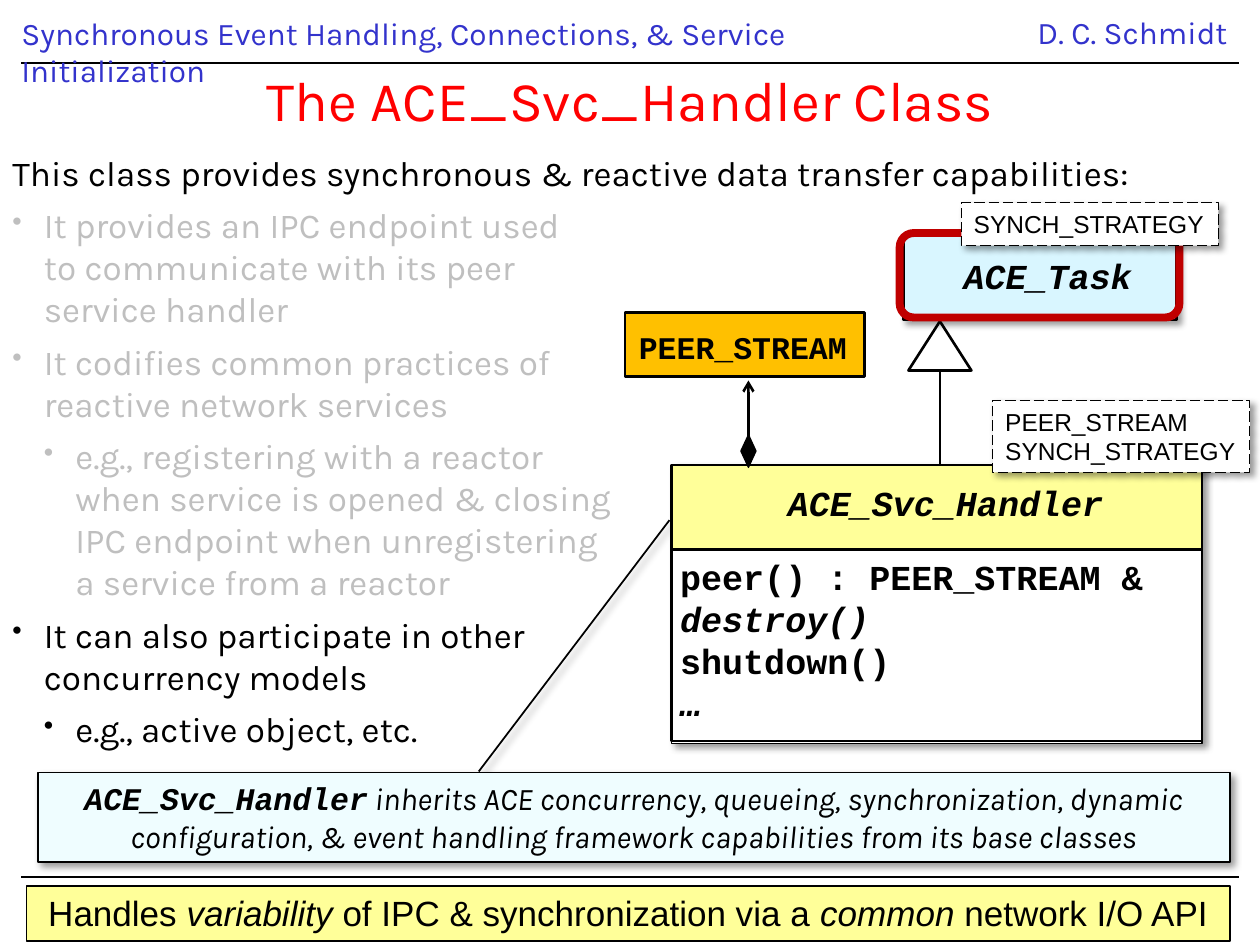
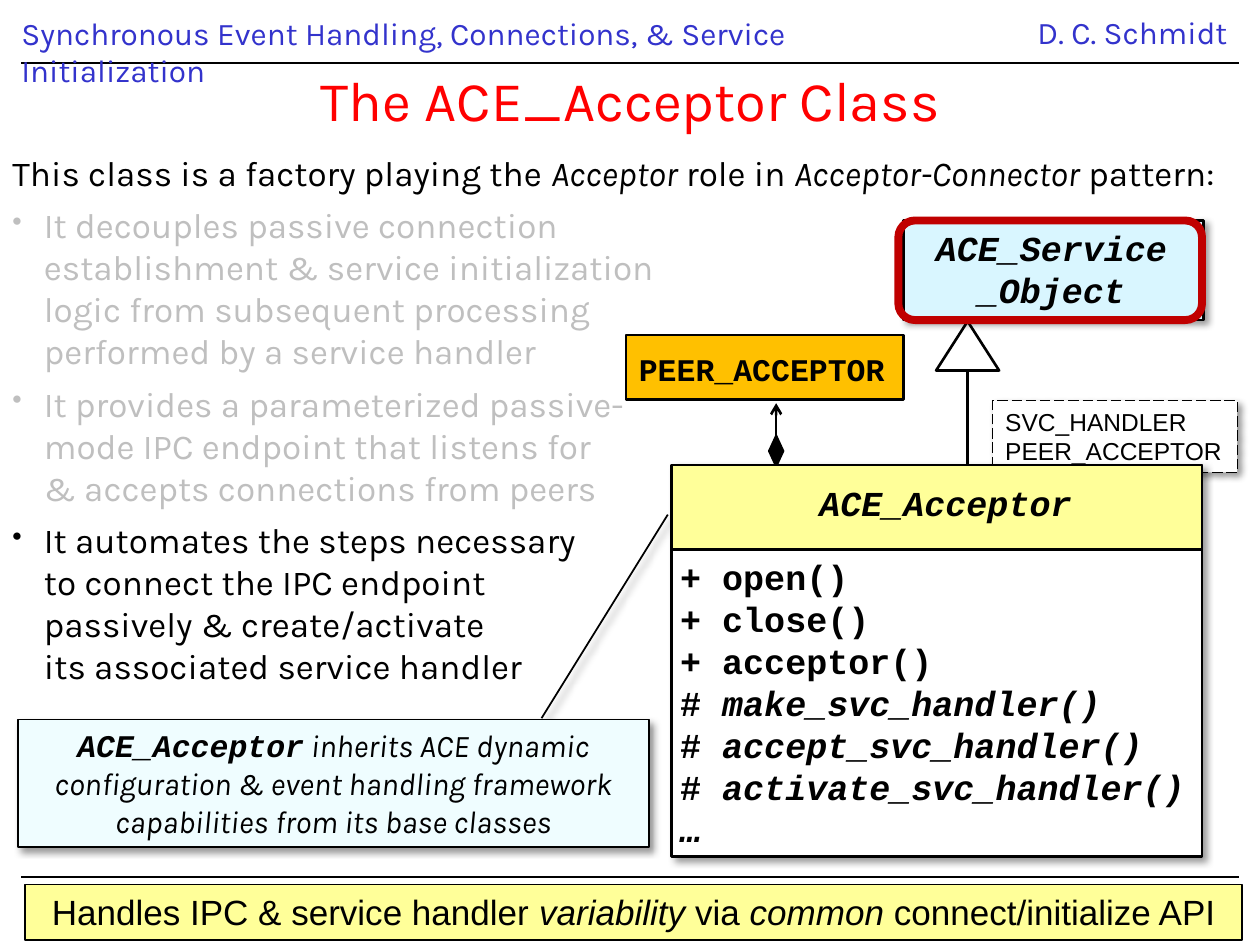
from lxml.etree import SubElement
from pptx import Presentation
from pptx.dml.color import RGBColor
from pptx.enum.dml import MSO_LINE
from pptx.enum.shapes import MSO_CONNECTOR, MSO_SHAPE as SHAPE
from pptx.enum.text import MSO_ANCHOR as ANCHOR, PP_ALIGN as ALIGN
from pptx.oxml.ns import qn
from pptx.util import Inches, Pt

BLACK, WHITE, BLUE, RED, GRAY = "000000", "FFFFFF", "3333CC", "FF0000", "BFBFBF"
YELLOW, ORANGE, SKY, ICE, DARK_RED = "FFFF99", "FFC000", "D9F6FF", "EFFDFF", "C00000"

HEADER = "Synchronous Event Handling, Connections, & Service Initialization"
AUTHOR = "D. C. Schmidt"
RULES = (0.5, 6.96)
CLASS_LEFT, CLASS_TOP, CLASS_WIDTH, NAME_HEIGHT = 5.33, 3.69, 4.21, 0.67

KARLA = {"name": "Karla", "size": Pt(20)}
HEADING = {"name": "Karla", "size": Pt(18)}
TITLE = {"name": "Karla", "size": Pt(32)}
ARIAL = {"name": "Arial", "size": Pt(20)}
TAG = {"name": "Arial", "size": Pt(14)}
CODE = {"name": "Courier New", "size": Pt(20), "bold": True}
SMALL_CODE = {**CODE, "size": Pt(18)}
NOTE = {"name": "Karla", "size": Pt(18), "italic": True}
NOTE_NAME = {**SMALL_CODE, "italic": True}

# Text between asterisks is italic; bullets are (level, colour, text).
SLIDES = [
    {
        "title": "The ACE_Svc_Handler Class",
        "intro": "This class provides synchronous & reactive data transfer capabilities:",
        "body": (0, 1.15, 10, 4.9),
        "bullets": [
            (1, GRAY, "It provides an IPC endpoint used\nto communicate with its peer\nservice handler"),
            (1, GRAY, "It codifies common practices of\nreactive network services"),
            (2, GRAY, "e.g., registering with a reactor\nwhen service is opened & closing\n"
                      "IPC endpoint when unregistering\na service from a reactor"),
            (1, BLACK, "It can also participate in other\nconcurrency models"),
            (2, BLACK, "e.g., active object, etc."),
        ],
        "class": "ACE_Svc_Handler",
        "methods": ["peer() : PEER_STREAM &", "*destroy()*", "shutdown()", "*…*"],
        "class_height": 2.21,
        "methods_height": 1.52,
        "base": ("ACE_Task", (7.17, 1.87, 2.17, 0.67), (7.14, 1.85, 2.22, 0.67), (7.49, 1.97, 1.65, 0.51)),
        "triangle_left": 7.21,
        "peer": ("PEER_STREAM", 4.96, 2.48, 1.9),
        "link_x": 5.94,
        "tags": [
            (["PEER_STREAM", "SYNCH_STRATEGY"], (7.88, 3.18, 2.04, 0.57)),
            (["SYNCH_STRATEGY"], (7.63, 1.61, 2.04, 0.34)),
        ],
        "tags_behind": False,
        "note": " inherits ACE concurrency, queueing, synchronization, dynamic configuration, "
                "& event handling framework capabilities from its base classes",
        "note_place": (0.3, 6.13, 9.46, 0.71),
        "note_pointer": (-0.01, 0.37, -2.82, 0.53),
        "summary": "Handles *variability* of IPC & synchronization via a *common* network I/O API",
        "summary_place": (0.21, 7.03, 9.55, 0.44),
    },
    {
        "title": "The ACE_Acceptor Class",
        "intro": "This class is a factory playing the *Acceptor* role in *Acceptor-Connector* pattern:",
        "body": (0, 1.15, 10.42, 4.44),
        "bullets": [
            (1, GRAY, "It decouples passive connection\nestablishment & service initialization\n"
                      "logic from subsequent processing\nperformed by a service handler"),
            (1, GRAY, "It provides a parameterized passive-\nmode IPC endpoint that listens for\n"
                      "& accepts connections from peers"),
            (1, BLACK, "It automates the steps necessary\nto connect the IPC endpoint\n"
                       "passively & create/activate\nits associated service handler"),
        ],
        "class": "ACE_Acceptor",
        "methods": ["+ open()", "+ close()", "+ acceptor()", "# *make_svc_handler()*",
                    "# *accept_svc_handler()*", "# *activate_svc_handler()*", "*…*"],
        "class_height": 3.11,
        "methods_height": 2.44,
        "base": ("ACE_Service_Object", (7.17, 1.75, 2.38, 0.79), (7.13, 1.75, 2.41, 0.79),
                 (7.32, 1.75, 2.05, 0.51)),
        "triangle_left": 7.43,
        "peer": ("PEER_ACCEPTOR", 4.97, 2.66, 2.2),
        "link_x": 6.16,
        "tags": [(["SVC_HANDLER", "PEER_ACCEPTOR"], (7.88, 3.18, 1.94, 0.57))],
        "tags_behind": True,
        "note": " inherits ACE dynamic configuration & event handling framework "
                "capabilities from its base classes",
        "note_place": (0.14, 5.71, 5.01, 1.01),
        "note_pointer": (-0.01, 0.83, -1.61, 1.03),
        "summary": "Handles IPC & service handler *variability* via *common* connect/initialize API",
        "summary_place": (0.2, 7.02, 9.66, 0.44),
    },
]


def color(value):
    return RGBColor.from_string(value)


def add_span(para, text, font, ink):
    for number, line in enumerate(text.split("\n")):
        if number:
            para.add_line_break()
        span = para.add_run()
        span.text = line
        for key, value in font.items():
            setattr(span.font, key, value)
        span.font.color.rgb = color(ink)


def add_marked(para, text, font, ink=BLACK):
    for number, part in enumerate(text.split("*")):
        if part:
            add_span(para, part, {**font, "italic": True} if number % 2 else font, ink)


def write(box, lines, font, ink=BLACK, align=ALIGN.LEFT, anchor=ANCHOR.TOP, wrap=True):
    frame = box.text_frame
    frame.word_wrap = wrap
    frame.vertical_anchor = anchor
    for number, line in enumerate(lines):
        para = frame.add_paragraph() if number else frame.paragraphs[0]
        para.alignment = align
        add_marked(para, line, font, ink)
    return frame


def add_text(page, place, lines, font, **options):
    box = page.shapes.add_textbox(*map(Inches, place))
    return write(box, lines, font, **options)


def add_box(page, place, fill=None, width=1.5, line=BLACK, kind=SHAPE.RECTANGLE, shadow=False):
    box = page.shapes.add_shape(kind, *map(Inches, place))
    if fill:
        box.fill.solid()
        box.fill.fore_color.rgb = color(fill)
    else:
        box.fill.background()
    box.line.color.rgb = color(line)
    box.line.width = Pt(width)
    box.shadow.inherit = False
    if shadow:
        effects = box._element.spPr.find(qn("a:effectLst"))
        outer = SubElement(effects, qn("a:outerShdw"), blurRad="50800", dist="38100",
                           dir="2700000", algn="tl", rotWithShape="0")
        ink = SubElement(outer, qn("a:srgbClr"), val=BLACK)
        SubElement(ink, qn("a:alpha"), val="40000")
    return box


def add_line(page, start, end, width=1.5, arrow=False):
    line = page.shapes.add_connector(MSO_CONNECTOR.STRAIGHT, *map(Inches, start + end))
    line.line.color.rgb = color(BLACK)
    line.line.width = Pt(width)
    if arrow:
        SubElement(line.line._get_or_add_ln(), qn("a:headEnd"), type="arrow")
    SubElement(line._element.spPr, qn("a:effectLst"))


def add_frame(page, title):
    for y in RULES:
        add_line(page, (0.17, y), (9.83, y), 0.75)
    author = add_text(page, (7.33, 0.09, 2.51, 0.37), [AUTHOR], HEADING, ink=BLUE, align=ALIGN.RIGHT)
    author.paragraphs[0].line_spacing = 0.9
    header = add_text(page, (0.17, 0.06, 7.29, 0.4), [HEADER], HEADING, ink=BLUE)
    header.margin_left = header.margin_right = 0
    add_text(page, (0.17, 0.58, 9.67, 0.42), [title], TITLE, ink=RED,
             align=ALIGN.CENTER, anchor=ANCHOR.MIDDLE)


def add_body(page, content):
    frame = add_text(page, content["body"], [content["intro"]], KARLA)
    for level, ink, text in content["bullets"]:
        para = frame.add_paragraph()
        props = para._p.get_or_add_pPr()
        props.set("marL", str(Inches(0.25 * level)))
        props.set("indent", str(Inches(-0.25)))
        para.space_before = Pt(6)
        SubElement(props, qn("a:buSzPct"), val="80000")
        SubElement(props, qn("a:buChar"), char="•")
        add_span(para, text, KARLA, ink)


def add_tags(page, content):
    for lines, place in content["tags"]:
        tag = add_box(page, place, WHITE, 0.75, shadow=True)
        tag.line.dash_style = MSO_LINE.LONG_DASH
        write(tag, lines, TAG, wrap=False)


def add_class(page, content):
    methods_top = CLASS_TOP + NAME_HEIGHT
    height = content["methods_height"]
    add_box(page, (CLASS_LEFT, CLASS_TOP, CLASS_WIDTH, content["class_height"]), WHITE, 0.75, shadow=True)
    add_box(page, (CLASS_LEFT, methods_top, CLASS_WIDTH, height), WHITE)
    add_text(page, (5.3, methods_top, 4.24, height), content["methods"], CODE)
    add_box(page, (CLASS_LEFT, CLASS_TOP, CLASS_WIDTH, NAME_HEIGHT), YELLOW)
    add_text(page, (5.9, 3.77, 3.21, 0.51), [f"*{content['class']}*"], CODE, align=ALIGN.CENTER)


def add_base(page, content):
    name, place, ring, label = content["base"]
    add_box(page, place, SKY, shadow=True)
    add_text(page, label, [f"*{name}*"], CODE, align=ALIGN.CENTER)
    left = content["triangle_left"]
    add_box(page, (left, 2.55, 0.5, 0.39), kind=SHAPE.ISOSCELES_TRIANGLE)
    add_line(page, (left + 0.25, 2.94), (left + 0.25, CLASS_TOP))
    add_box(page, ring, None, 4.5, DARK_RED, SHAPE.ROUNDED_RECTANGLE)


def add_peer(page, content):
    name, left, top, width = content["peer"]
    add_box(page, (left, top, width, 0.51), ORANGE)
    add_text(page, (4.94, top + 0.07, width + 0.01, 0.51), [name], SMALL_CODE, align=ALIGN.CENTER)
    x, start = content["link_x"], top + 0.54
    add_line(page, (x, start), (x, 3.67), arrow=True)
    diamond = add_box(page, (x - 0.13, 3.52, 0.26, 0.12), BLACK, 0.75, kind=SHAPE.FLOWCHART_DECISION)
    diamond.rotation = 90


def add_note(page, content):
    note = add_box(page, content["note_place"], ICE, 1, kind=SHAPE.LINE_CALLOUT_1, shadow=True)
    for index, value in enumerate(content["note_pointer"]):
        note.adjustments[index] = value
    frame = write(note, [""], NOTE, align=ALIGN.CENTER, anchor=ANCHOR.MIDDLE)
    add_span(frame.paragraphs[0], content["class"], NOTE_NAME, BLACK)
    add_span(frame.paragraphs[0], content["note"], NOTE, BLACK)


def add_summary(page, content):
    band = add_box(page, content["summary_place"], YELLOW, 1)
    write(band, [content["summary"]], ARIAL, align=ALIGN.CENTER)


def main():
    deck = Presentation()
    deck.slide_width, deck.slide_height = Inches(10), Inches(7.5)
    for content in SLIDES:
        page = deck.slides.add_slide(deck.slide_layouts[6])
        add_frame(page, content["title"])
        add_body(page, content)
        add_note(page, content)
        diagram = [add_class, add_base, add_peer, add_tags]
        if content["tags_behind"]:
            diagram.reverse()
        for add_part in diagram:
            add_part(page, content)
        add_summary(page, content)
    deck.save("out.pptx")


if __name__ == "__main__":
    main()
